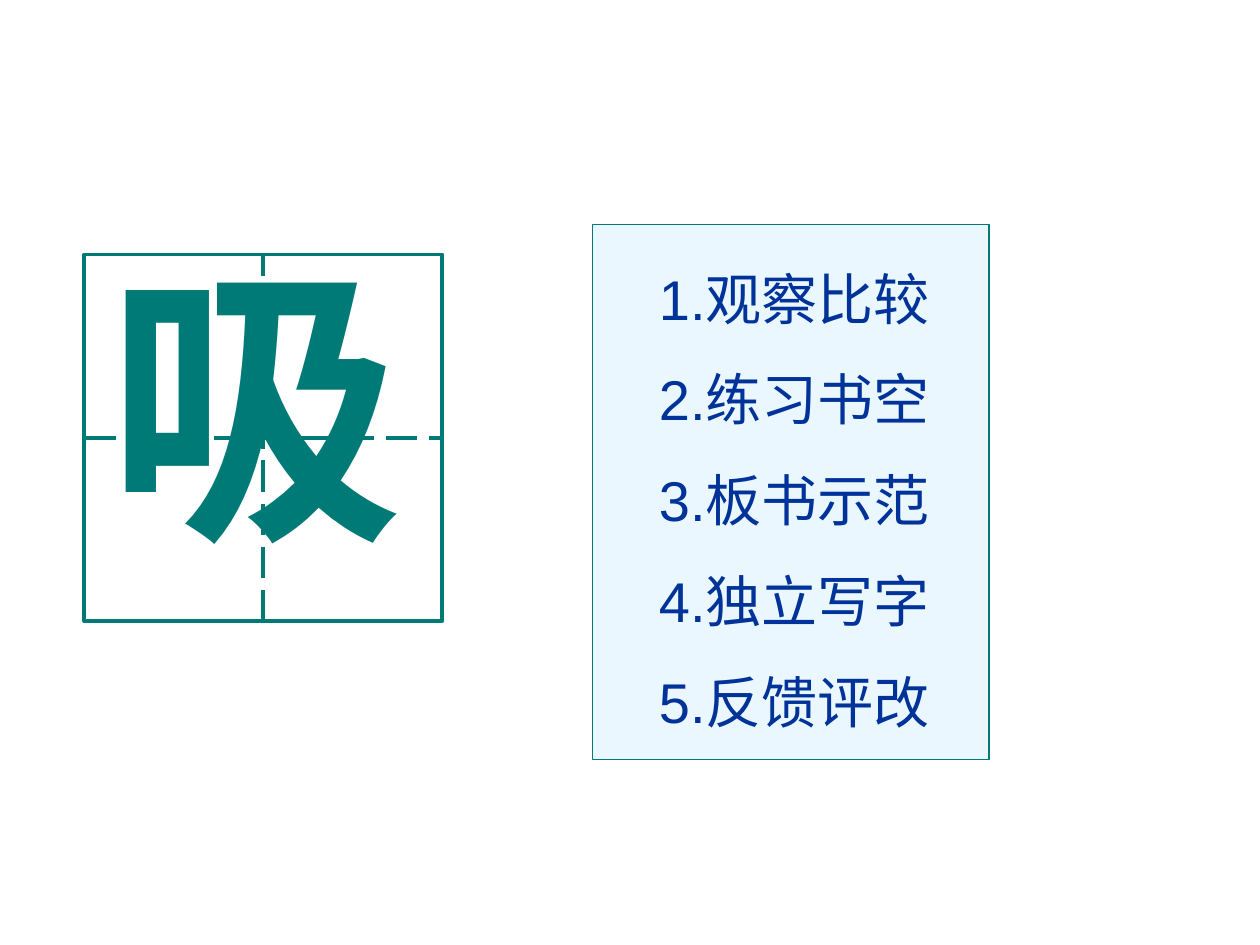
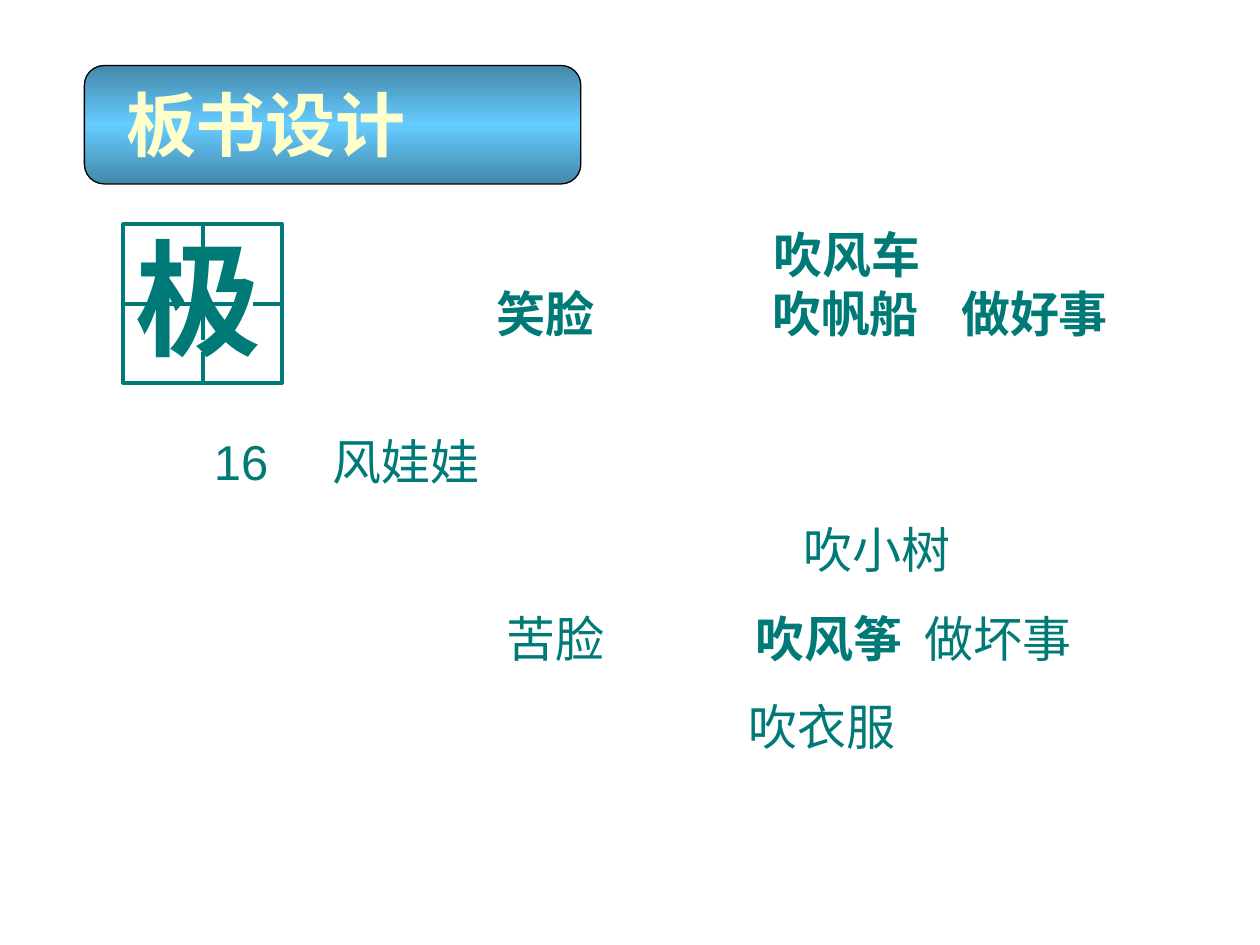
"""Build two lesson slides: a writing task and the board plan."""
from lxml import etree
from copy import deepcopy
from pptx import Presentation
from pptx.dml.color import RGBColor
from pptx.enum.dml import MSO_LINE
from pptx.enum.shapes import MSO_CONNECTOR, MSO_SHAPE
from pptx.enum.text import MSO_ANCHOR, MSO_AUTO_SIZE, PP_ALIGN
from pptx.oxml.ns import qn
from pptx.util import Inches, Pt

RECT = MSO_SHAPE.RECTANGLE
BADGE = MSO_SHAPE.FLOWCHART_ALTERNATE_PROCESS
STRAIGHT = MSO_CONNECTOR.STRAIGHT
DASH = MSO_LINE.LONG_DASH
TOP = MSO_ANCHOR.TOP
LEFT = PP_ALIGN.LEFT
FIXED = MSO_AUTO_SIZE.NONE

TEAL, NAVY, CREAM = "007A77", "003399", "FFFFCC"
PALE, STEEL, SKY, BLACK = "EBF7FF", "4488AA", "66CCFF", "000000"
SANS, GLYPH = "Arial", "DejaVu Sans"

STEPS = ["1.观察比较", "2.练习书空", "3.板书示范", "4.独立写字", "5.反馈评改"]
BOARD = [
    (0, [(6.14, "吹风车", True)]),
    (0, [(3.94, "笑脸", True), (6.13, "吹帆船", True), (7.63, "做好事", True)]),
    (51, [(1.7, "16", False), (2.64, "风娃娃", False)]),
    (17, [(6.38, "吹小树", False)]),
    (17, [(4.02, "苦脸", False), (6, "吹风筝", True), (7.34, "做坏事", False)]),
    (17, [(5.94, "吹衣服", False)]),
]


def rgb(code):
    """Turn a hex string into a colour."""
    return RGBColor.from_string(code)


def place(box, x, y, w, h):
    """Move and size a shape, in inches."""
    box.left, box.top, box.width, box.height = map(Inches, (x, y, w, h))


def setup(box):
    """Set a text frame to wrap from the top and return it."""
    frame = box.text_frame
    frame.word_wrap = True
    frame.auto_size = FIXED
    frame.vertical_anchor = TOP
    return frame


def add_text(slide, x, y, w, h):
    """Add an empty text box and return its frame."""
    box = slide.shapes.add_textbox(*map(Inches, (x, y, w, h)))
    return setup(box)


def add_run(para, text, size, code, font=SANS, bold=False):
    """Add one formatted run."""
    run = para.add_run()
    run.text = text
    run.font.size = Pt(size)
    run.font.name = font
    run.font.bold = bold
    run.font.color.rgb = rgb(code)


def add_para(frame, first, before=0, lead=1.0):
    """Return the first or a new left-aligned paragraph."""
    para = frame.paragraphs[0] if first else frame.add_paragraph()
    para.alignment = LEFT
    para.space_before = Pt(before)
    para.line_spacing = lead
    return para


def add_tabs(para, stops):
    """Set left tab stops, in inches from the text edge."""
    tabs = etree.SubElement(para._p.get_or_add_pPr(), qn("a:tabLst"))
    for stop in stops:
        etree.SubElement(tabs, qn("a:tab"), pos=str(Inches(stop)), algn="l")


def add_shape(shapes, kind, box, line, width, fill=None):
    """Add a flat shape with an outline and an optional fill."""
    shape = shapes.add_shape(kind, *map(Inches, box))
    shape.shadow.inherit = False
    shape.line.color.rgb = rgb(line)
    shape.line.width = Pt(width)
    if fill:
        shape.fill.solid()
        shape.fill.fore_color.rgb = rgb(fill)
    else:
        shape.fill.background()
    return shape


def add_dash(shapes, x1, y1, x2, y2):
    """Add a dashed guide line."""
    line = shapes.add_connector(STRAIGHT, *map(Inches, (x1, y1, x2, y2)))
    line.line.color.rgb = rgb(TEAL)
    line.line.width = Pt(2.25)
    line.line.dash_style = DASH
    etree.SubElement(line._element.spPr, qn("a:effectLst"))


def add_grid(slide, x, y, w, h):
    """Add a square with dashed guides for one character."""
    shapes = slide.shapes.add_group_shape().shapes
    add_shape(shapes, RECT, (x, y, w, h), TEAL, 2.25)
    add_dash(shapes, x, y + h / 2, x + w, y + h / 2)
    add_dash(shapes, x + w / 2, y + h, x + w / 2, y)


def add_glyph(slide, text, size, *box):
    """Add one large character."""
    frame = add_text(slide, *box)
    add_run(add_para(frame, True), text, size, TEAL, GLYPH, True)


def add_badge(slide, *box):
    """Add the shaded band behind the title."""
    shape = add_shape(slide.shapes, BADGE, box, BLACK, 0.75)
    shape.fill.gradient()
    shape.fill.gradient_angle = 90
    stops = shape._element.spPr.find(qn("a:gradFill")).find(qn("a:gsLst"))
    stops.append(deepcopy(stops[-1]))
    looks = zip(shape.fill.gradient_stops, (0, 0.5, 1), (STEEL, SKY, STEEL))
    for stop, spot, code in looks:
        stop.position = spot
        stop.color.rgb = rgb(code)


def fill_holder(slide, holder, *box):
    """Place a placeholder in front and return its frame."""
    slide.shapes._spTree.append(holder._element)
    place(holder, *box)
    return setup(holder)


def add_list(slide, *box):
    """Write the numbered steps in the body placeholder."""
    frame = fill_holder(slide, slide.placeholders[1], *box)
    for i, step in enumerate(STEPS):
        para = add_para(frame, i == 0, lead=1.5)
        props = para._p.get_or_add_pPr()
        props.set("marL", "0")
        props.set("indent", "0")
        etree.SubElement(props, qn("a:buNone"))
        add_run(para, step, 32, NAVY)


def add_board(slide, x, y, w, h):
    """Write the board plan with tab stops."""
    frame = add_text(slide, x, y, w, h)
    for i, (gap, parts) in enumerate(BOARD):
        para = add_para(frame, i == 0, gap)
        add_tabs(para, [spot - x - 0.1 for spot, _, _ in parts])
        for _, text, bold in parts:
            add_run(para, "\t" + text, 28, TEAL, SANS, bold)


def main():
    """Build and save the deck."""
    deck = Presentation()
    deck.slide_width, deck.slide_height = Inches(10), Inches(7.5)

    task = deck.slides.add_slide(deck.slide_layouts[1])
    title = task.shapes.title._element
    title.getparent().remove(title)
    add_shape(task.shapes, RECT, (4.7, 1.78, 3.15, 4.25), TEAL, 0.75, PALE)
    add_grid(task, 0.67, 2.02, 2.84, 2.91)
    add_list(task, 5.13, 1.78, 4.87, 4.9)
    add_glyph(task, "吸", 170, 0.75, 1.7, 2.44, 2.94)

    plan = deck.slides.add_slide(deck.slide_layouts[5])
    add_badge(plan, 0.67, 0.52, 3.94, 0.94)
    frame = fill_holder(plan, plan.shapes.title, 0.9, 0.6, 2.43, 0.77)
    add_run(add_para(frame, True), "板书设计", 40, CREAM, SANS, True)
    add_board(plan, 1.1, 1.73, 7.8, 4.35)
    add_glyph(plan, "极", 72, 0.98, 1.7, 1.1, 1.3)
    add_grid(plan, 0.98, 1.78, 1.26, 1.26)

    deck.save("out.pptx")


if __name__ == "__main__":
    main()
